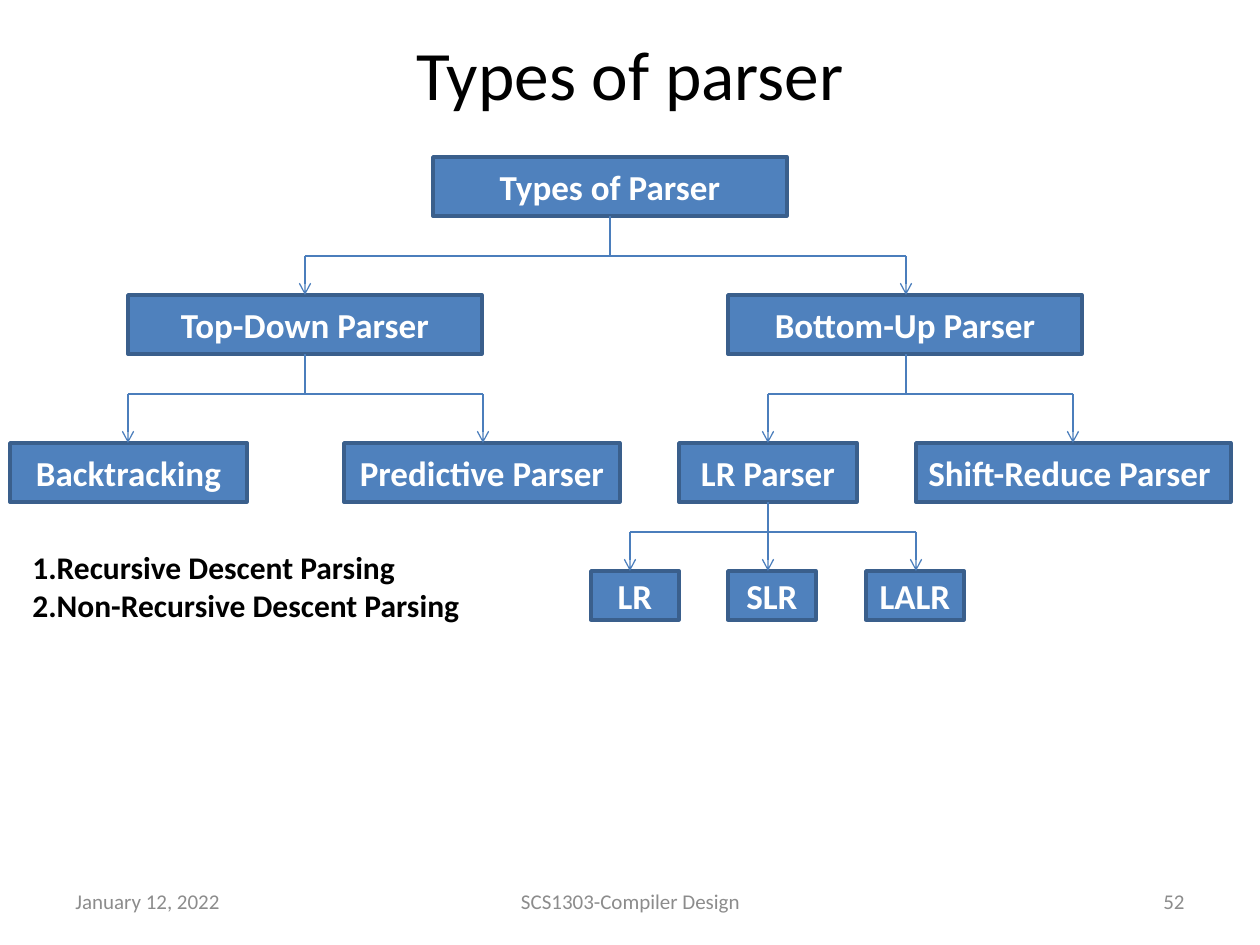
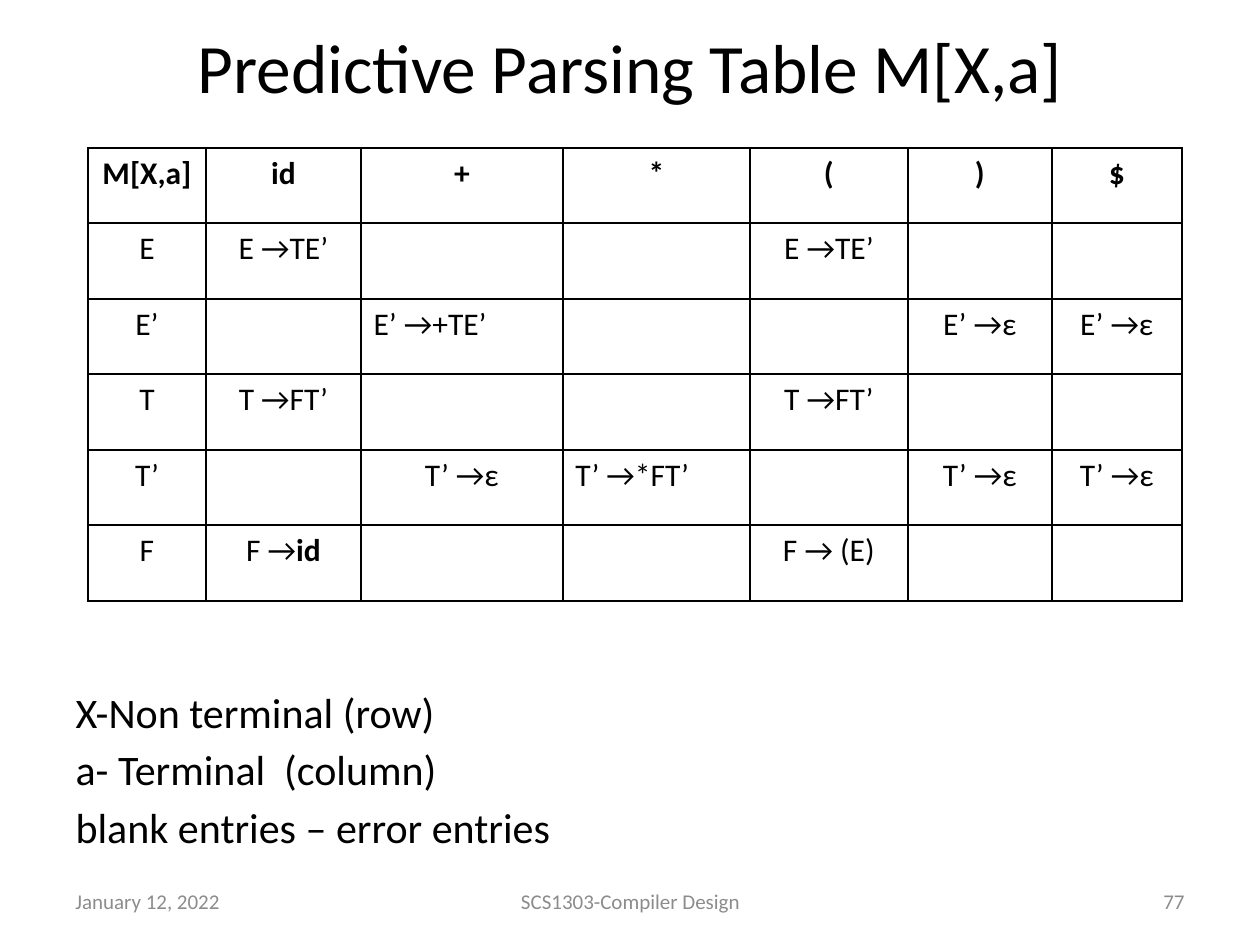
import lxml.etree
import pptx
import pptx.dml.color
import pptx.enum.shapes
import pptx.enum.text
import pptx.oxml
import pptx.oxml.ns
import pptx.util

PX = 7257  # EMU in one px, 126 px to the inch
ALIGN = pptx.enum.text.PP_ALIGN
ANCHOR = pptx.enum.text.MSO_ANCHOR
FIT = pptx.enum.text.MSO_AUTO_SIZE
qn = pptx.oxml.ns.qn

BLACK, WHITE, GREY = "000000", "FFFFFF", "8C8C8C"
NODE_FILL, NODE_EDGE, BRANCH = "4F81BD", "3A5F8C", "4B7EBC"
TITLE = {"size": pptx.util.Pt(39.6), "bold": False}
FOOTER = {"size": pptx.util.Pt(12), "bold": False}
NODE = {"size": pptx.util.Pt(20), "bold": True}
NOTE = {"size": pptx.util.Pt(18), "bold": True}
ENTRY = {"size": pptx.util.Pt(18), "bold": False}
LEGEND = {"size": pptx.util.Pt(24), "bold": False}


def rgb(hex_colour):
    return pptx.dml.color.RGBColor.from_string(hex_colour)


def write(frame, lines, look, colour=BLACK, align=ALIGN.LEFT):
    """Fill a text frame; whatever follows a bar in a line is bold."""
    for number, line in enumerate(lines):
        paragraph = frame.add_paragraph() if number else frame.paragraphs[0]
        paragraph.alignment = align
        lead, _, strong = line.partition("|")
        for text, extra in ((lead, {}), (strong, {"bold": True})):
            if text:
                run = paragraph.add_run()
                run.text = text
                for name, value in {"name": "Calibri", **look, **extra}.items():
                    setattr(run.font, name, value)
                run.font.color.rgb = rgb(colour)


deck = pptx.Presentation()
deck.slide_width, deck.slide_height = 1260 * PX, 945 * PX

# Titles and footers
pages = [
    (5, "Types of parser", (63, 38, 1134, 70), "52"),
    (1, "Predictive Parsing Table M[X,a]", (63, 20, 1134, 91), "77"),
]
for layout, heading, place, page_number in pages:
    slide = deck.slides.add_slide(deck.slide_layouts[layout])
    title = slide.shapes.title
    title.left, title.top, title.width, title.height = [n * PX for n in place]
    title.text_frame.auto_size = FIT.NONE
    title.text_frame.vertical_anchor = ANCHOR.MIDDLE
    write(title.text_frame, [heading], TITLE, align=ALIGN.CENTER)
    for left, width, text, align in (
        (63, 294, "January 12, 2022", ALIGN.LEFT),
        (431, 399, "SCS1303-Compiler Design", ALIGN.CENTER),
        (903, 294, page_number, ALIGN.RIGHT),
    ):
        footer = slide.shapes.add_textbox(left * PX, 876 * PX, width * PX, 50 * PX).text_frame
        footer.word_wrap = True
        footer.vertical_anchor = ANCHOR.MIDDLE
        write(footer, [text], FOOTER, GREY, align)
tree_slide, table_slide = deck.slides

# Parser tree: rows of nodes, each row as top, height, (left, width, label)
levels = [
    (157, 59, [(433, 354, "Types of Parser")]),
    (295, 59, [(128, 354, "Top-Down Parser"), (728, 354, "Bottom-Up Parser")]),
    (443, 59, [(10, 237, "Backtracking"), (344, 276, "Predictive Parser"),
               (679, 178, "LR Parser"), (916, 315, "Shift-Reduce Parser")]),
    (571, 49, [(591, 88, "LR"), (728, 88, "SLR"), (866, 98, "LALR")]),
]
for top, height, nodes in levels:
    for left, width, label in nodes:
        node = tree_slide.shapes.add_shape(
            pptx.enum.shapes.MSO_SHAPE.RECTANGLE, left * PX, top * PX, width * PX, height * PX)
        node.shadow.inherit = False
        node.fill.solid()
        node.fill.fore_color.rgb = rgb(NODE_FILL)
        node.line.color.rgb = rgb(NODE_EDGE)
        node.line.width = pptx.util.Pt(2)
        node.text_frame.vertical_anchor = ANCHOR.MIDDLE
        align = ALIGN.LEFT if label.startswith("Shift") else ALIGN.CENTER
        write(node.text_frame, [label], NODE, WHITE, align)

# Branches: parent x, parent bottom, bar y, arrow tip y, child xs
branches = [
    (610, 216, 256, 295, (305, 906)),
    (305, 354, 394, 443, (128, 483)),
    (906, 354, 394, 443, (768, 1073)),
    (768, 502, 532, 571, (630, 768, 916)),
]
for parent_x, bottom, bar, tip, children in branches:
    segments = [(parent_x, bottom, parent_x, bar, False),
                (children[0], bar, children[-1], bar, False)]
    segments += [(x, bar, x, tip, True) for x in children]
    for *ends, has_arrow in segments:
        branch = tree_slide.shapes.add_connector(
            pptx.enum.shapes.MSO_CONNECTOR.STRAIGHT, *[n * PX for n in ends])
        branch.line.color.rgb = rgb(BRANCH)
        branch.line.width = pptx.util.Pt(0.75)
        if has_arrow:
            lxml.etree.SubElement(branch.line._get_or_add_ln(), qn("a:tailEnd"), type="arrow")
        lxml.etree.SubElement(branch._element.spPr, qn("a:effectLst"))

descent_kinds = tree_slide.shapes.add_textbox(20 * PX, 542 * PX, 483 * PX, 89 * PX).text_frame
descent_kinds.word_wrap = True
write(descent_kinds, ["1.Recursive Descent Parsing", "2.Non-Recursive Descent Parsing"], NOTE)

# Parsing table
entries = [
    ["M[X,a]", "id", "+", "*", "(", ")", "$"],
    ["E", "E →TE’", "", "", "E →TE’", "", ""],
    ["E’", "", "E’ →+TE’", "", "", "E’ →ε", "E’ →ε"],
    ["T", "T →FT’", "", "", "T →FT’", "", ""],
    ["T’", "", "T’ →ε", "T’ →*FT’", "", "T’ →ε", "T’ →ε"],
    ["F", "F →|id", "", "", "F → (E)", "", ""],
]
column_widths = [118, 155, 202, 187, 158, 144, 130]
parsing_table = table_slide.shapes.add_table(
    len(entries), len(column_widths), 88 * PX, 148 * PX, sum(column_widths) * PX, 453 * PX).table
parsing_table.first_row = parsing_table.horz_banding = False
for column, width in zip(parsing_table.columns, column_widths):
    column.width = width * PX
for r, row in enumerate(entries):
    parsing_table.rows[r].height = (75 + r % 2) * PX
    for c, entry in enumerate(row):
        cell = parsing_table.cell(r, c)
        for side in ("lnL", "lnR", "lnT", "lnB"):
            border = lxml.etree.SubElement(
                cell._tc.get_or_add_tcPr(), qn(f"a:{side}"), w=str(pptx.util.Pt(1)))
            paint = lxml.etree.SubElement(border, qn("a:solidFill"))
            lxml.etree.SubElement(paint, qn("a:srgbClr"), val=BLACK)
        cell.fill.background()
        align = ALIGN.LEFT if "→+" in entry or "→*" in entry else ALIGN.CENTER
        write(cell.text_frame, [entry], ENTRY if r else NOTE, align=align)

# Legend under the table
legend = table_slide.placeholders[1]
legend.left, legend.top, legend.width, legend.height = [n * PX for n in (63, 680, 1134, 182)]
legend.text_frame.auto_size = FIT.NONE
write(legend.text_frame,
      ["X-Non terminal (row)", "a- Terminal  (column)", "blank entries – error entries"], LEGEND)
for number, paragraph in enumerate(legend.text_frame.paragraphs):
    properties = paragraph._p.get_or_add_pPr()
    properties.set("marL", str(48 * PX))
    properties.set("indent", str(-48 * PX))
    lxml.etree.SubElement(properties, qn("a:buNone"))
    paragraph.space_before = pptx.util.Pt(4 if number else 0)

deck.save("out.pptx")
